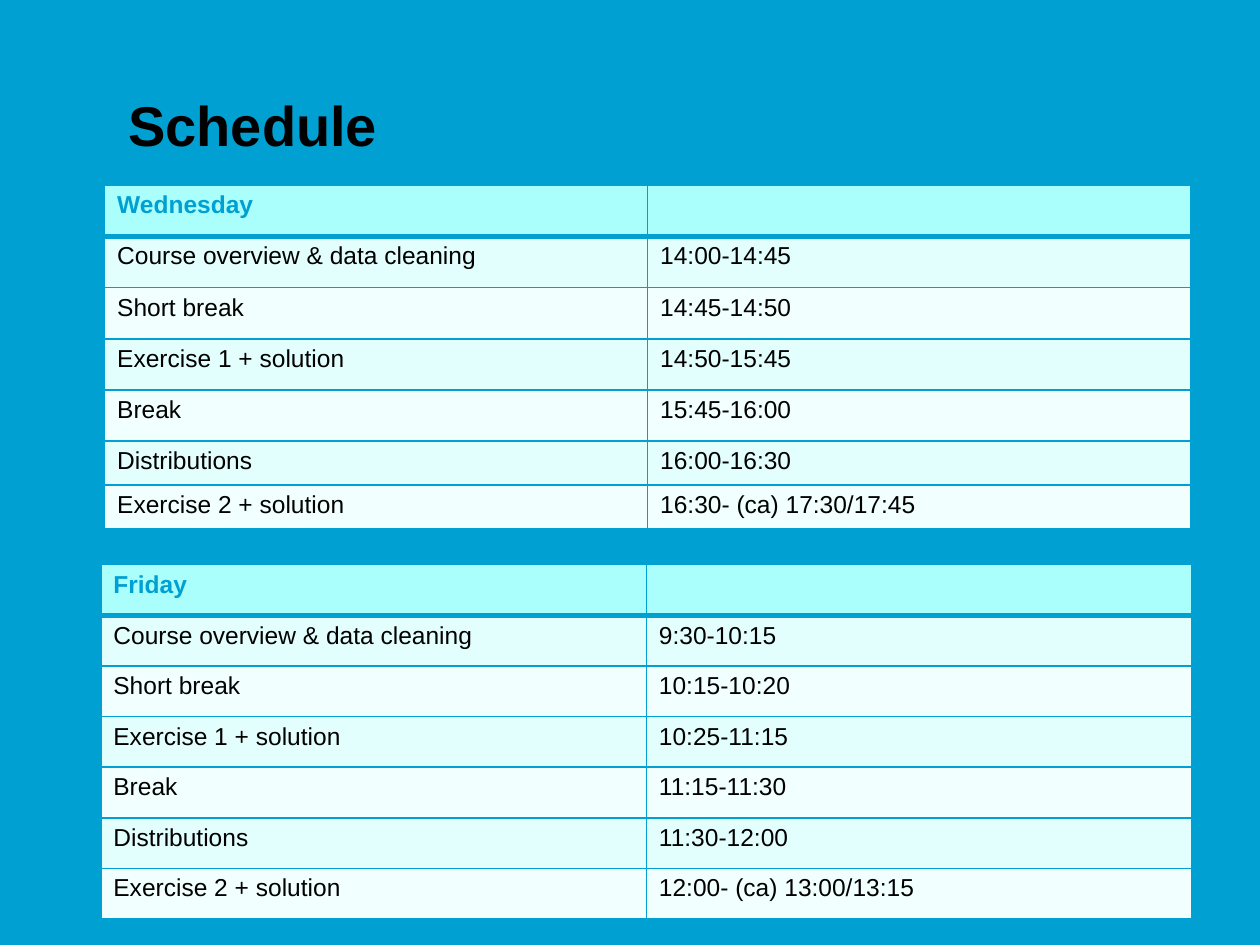
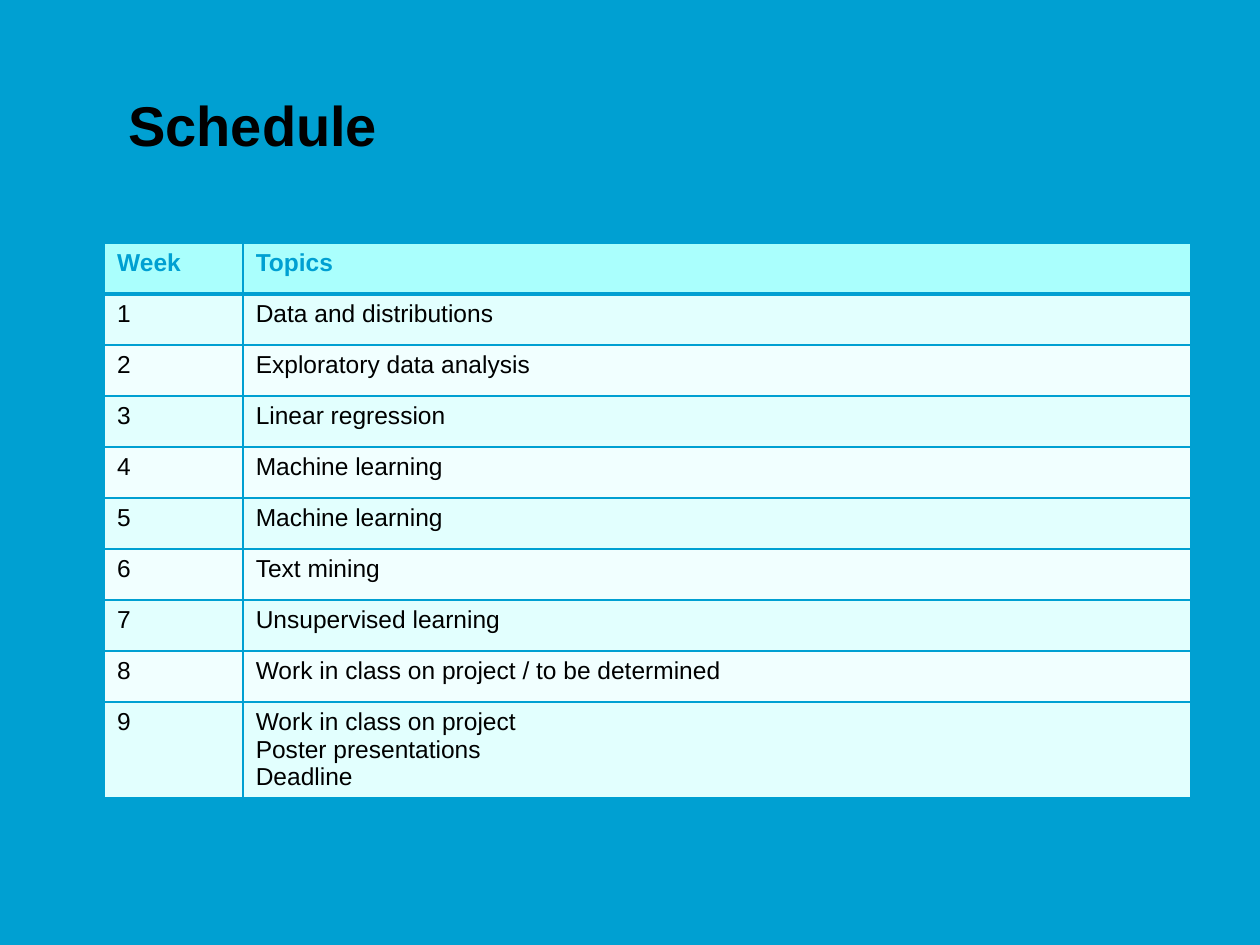
from lxml.etree import SubElement as Sub
from pptx import Presentation as Deck
from pptx.dml.color import RGBColor as RGB
from pptx.enum.text import MSO_ANCHOR as Anchor, MSO_AUTO_SIZE as Fit
from pptx.oxml.ns import qn
from pptx.util import Inches, Pt

TASKS = ["Course overview & data cleaning", "Short break", "Exercise 1 + solution",
         "Break", "Distributions", "Exercise 2 + solution"]
WED = ["14:00-14:45", "14:45-14:50", "14:50-15:45", "15:45-16:00",
       "16:00-16:30", "16:30- (ca) 17:30/17:45"]
FRI = ["9:30-10:15", "10:15-10:20", "10:25-11:15", "11:15-11:30",
       "11:30-12:00", "12:00- (ca) 13:00/13:15"]
TOPICS = ["Data and distributions", "Exploratory data analysis", "Linear regression",
          "Machine learning", "Machine learning", "Text mining", "Unsupervised learning",
          "Work in class on project / to be determined",
          "Work in class on project\nPoster presentations\nDeadline"]
WEEKS = [(str(n), topic) for n, topic in enumerate(TOPICS, 1)]

SLIDES = [
    ("Schedule", [
        {"rows": [("Wednesday", ""), *zip(TASKS, WED)], "box": (0.83, 1.47, 8.62, 2.73),
         "cols": (1, 1), "parts": [7] * 5 + [6] * 2},
        {"rows": [("Friday", ""), *zip(TASKS, FRI)], "box": (0.8, 4.48, 8.66, 2.81),
         "cols": (1, 1), "parts": [1] * 7}]),
    ("Schedule", [
        {"rows": [("Week", "Topics"), *WEEKS], "box": (0.83, 1.93, 8.62, 4.05),
         "cols": (1.1, 7.52), "parts": [1] * 10}]),
]

BLUE, BLACK = "00A0D2", "000000"
HEAD, BANDS = "AAFFFD", ("F1FFFF", "E2FFFE")
TITLE_BOX = (0.92, 0.67, 6.75, 0.63)
TITLE = {"name": "Arial", "size": Pt(32), "bold": True}
TOP = {"name": "Arial", "size": Pt(14), "bold": True}
BODY = {**TOP, "bold": False}


def paint(item, tint):
    item.rgb = RGB.from_string(tint)


def fill(item, tint):
    item.fill.solid()
    paint(item.fill.fore_color, tint)


def style(frame, look, tint):
    for para in frame.paragraphs:
        for run in para.runs:
            for key, value in look.items():
                setattr(run.font, key, value)
            paint(run.font.color, tint)


def edge(cell, row):
    props = cell._tc.get_or_add_tcPr()
    for side in "LRTB":
        thick = (row, side) in ((0, "B"), (1, "T"))
        line = Sub(props, qn(f"a:ln{side}"), w=str(Pt(3 if thick else 1)))
        Sub(Sub(line, qn("a:solidFill")), qn("a:srgbClr"), val=BLUE)


def share(items, parts, total, name):
    for item, part in zip(items, parts):
        setattr(item, name, Inches(total * part / sum(parts)))


def add_title(slide, text):
    frame = slide.shapes.add_textbox(*map(Inches, TITLE_BOX)).text_frame
    frame.text = text
    for key, value in {"word_wrap": True, "auto_size": Fit.NONE,
                       "vertical_anchor": Anchor.BOTTOM}.items():
        setattr(frame, key, value)
    style(frame, TITLE, BLACK)


def add_plan(slide, rows, box, cols, parts):
    grid = slide.shapes.add_table(len(rows), len(cols), *map(Inches, box)).table
    share(grid.columns, cols, box[2], "width")
    share(grid.rows, parts, box[3], "height")
    for r, row in enumerate(rows):
        for c, text in enumerate(row):
            cell = grid.cell(r, c)
            cell.text = text
            edge(cell, r)
            fill(cell, BANDS[r % 2] if r else HEAD)
            style(cell.text_frame, BODY if r else TOP, BLACK if r else BLUE)


def main():
    deck = Deck()
    deck.slide_width, deck.slide_height = Inches(10), Inches(7.5)
    for title, plans in SLIDES:
        slide = deck.slides.add_slide(deck.slide_layouts[6])
        fill(slide.background, BLUE)
        add_title(slide, title)
        for plan in plans:
            add_plan(slide, **plan)
    deck.save("out.pptx")


if __name__ == "__main__":
    main()
